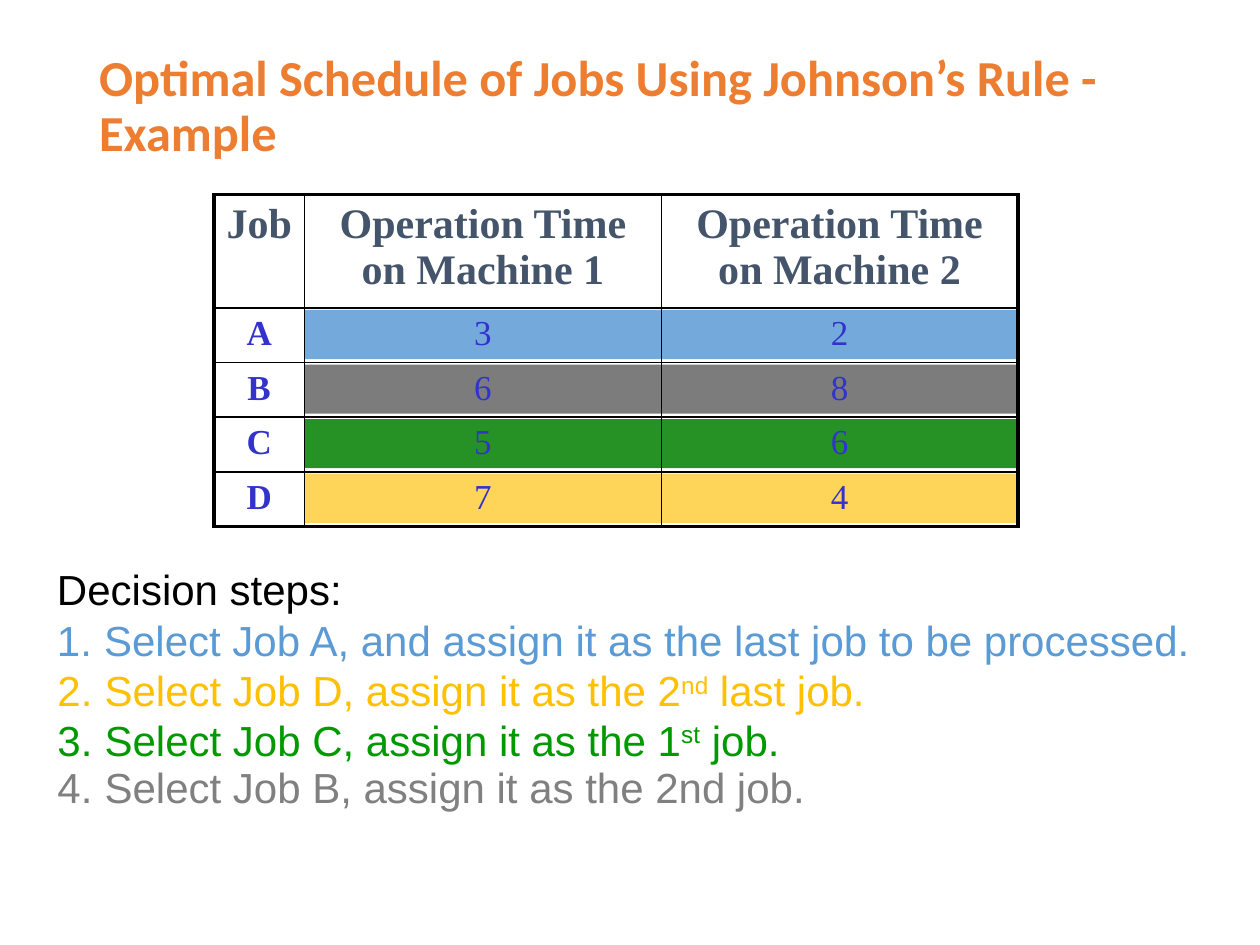
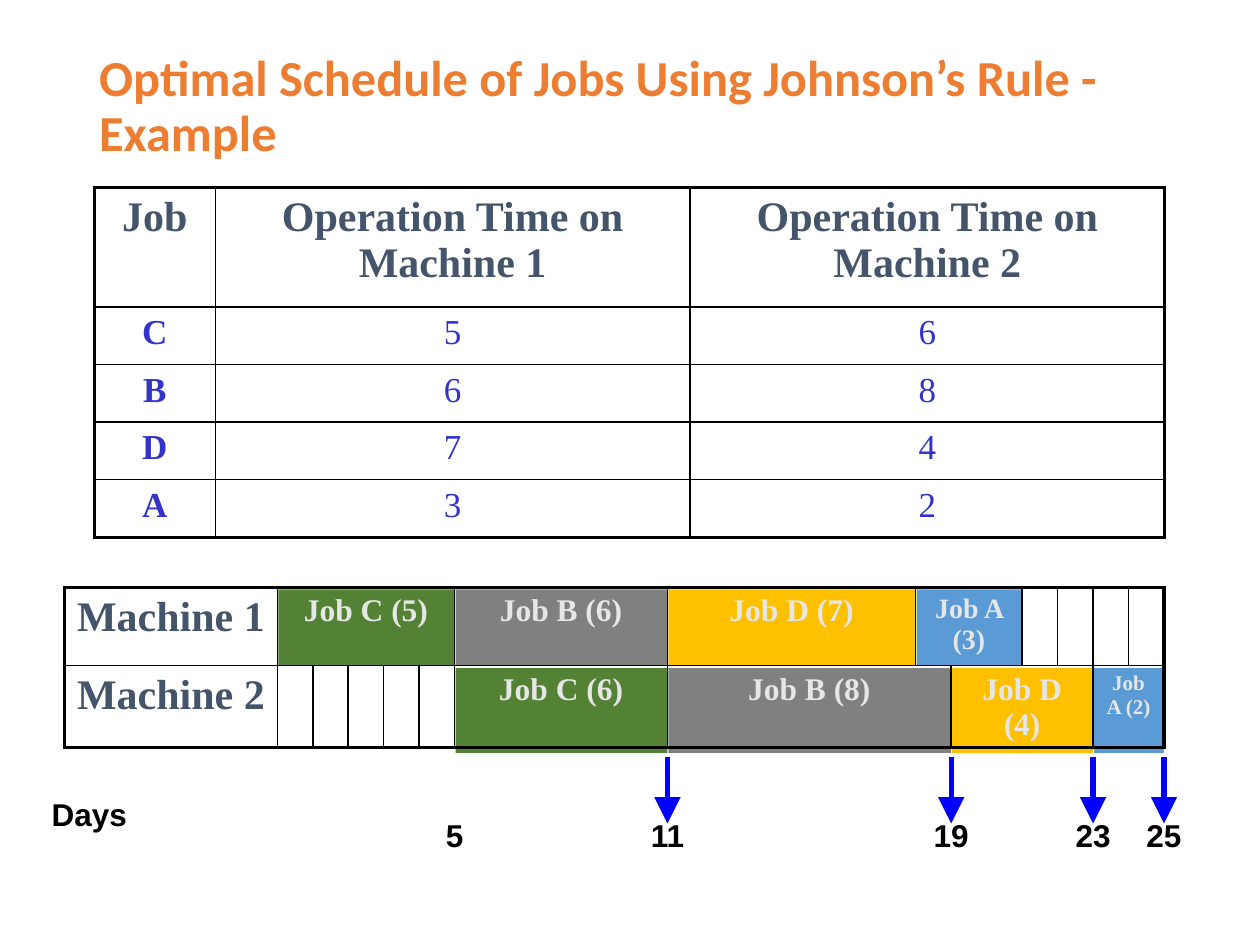
from dataclasses import dataclass

from lxml import etree
from pptx import Presentation
from pptx import util as u
from pptx.dml.color import RGBColor
from pptx.enum import shapes, text
from pptx.oxml.ns import qn

Cm, Pt = u.Cm, u.Pt


@dataclass(frozen=True)
class Theme:
    orange: str = "ED7D31"
    blue: str = "5B9BD5"
    gold: str = "FFC000"
    green: str = "008000"
    step_green: str = "009900"
    bar_green: str = "548235"
    dark_gray: str = "666666"
    gray: str = "808080"
    slate: str = "44546A"
    indigo: str = "3333CC"
    pale: str = "E7E6E6"
    arrow: str = "0000FF"
    black: str = "000000"
    heading: str = "Calibri"
    body: str = "Arial"
    cells: str = "Times New Roman"
    title: float = 28.8
    large: float = 24
    value: float = 20
    label: float = 18
    small: float = 16
    tiny: float = 12
    outer: float = 2.25
    inner: float = 1


TITLE = "Optimal Schedule of Jobs Using Johnson’s Rule - Example"
HEADER = ["Job", "Operation Time on Machine 1", "Operation Time on Machine 2"]
TIMES = {"A": (3, 2), "B": (6, 8), "C": (5, 6), "D": (7, 4)}
SEQUENCE = "CBDA"

DAY_ZERO, DAY_WIDTH = 5.59, 0.715
DAY_EDGES = [0, 1, 2, 3, 4, 5, 11, 18, 19, 21, 22, 23, 24, 25]


def day_x(day):
    return DAY_ZERO + day * DAY_WIDTH


def schedule(sequence):
    first, second, free1, free2 = [], [], 0, 0
    for job in sequence:
        time1, time2 = TIMES[job]
        first.append((job, free1, time1))
        free1 += time1
        free2 = max(free1, free2)
        second.append((job, free2, time2))
        free2 += time2
    return first, second


class Deck:
    def __init__(self, theme):
        self.theme = theme
        self.prs = Presentation()
        self.prs.slide_width, self.prs.slide_height = Cm(25.4), Cm(19.05)
        self.slide = None

    def new_slide(self):
        self.slide = self.prs.slides.add_slide(self.prs.slide_layouts[6])
        frame = self.textbox(1.75, 1.02, 21.9, 2.31)
        frame.vertical_anchor = text.MSO_ANCHOR.MIDDLE
        heading = frame.paragraphs[0]
        heading.text, heading.line_spacing = TITLE, 0.9
        self.style(heading, self.theme.title, self.theme.orange, self.theme.heading, True)

    def style(self, paragraph, size, color, font, bold=False):
        for run in paragraph.runs:
            run.font.size, run.font.name, run.font.bold = Pt(size), font, bold
            run.font.color.rgb = RGBColor.from_string(color)

    def textbox(self, x, y, w, h):
        frame = self.slide.shapes.add_textbox(Cm(x), Cm(y), Cm(w), Cm(h)).text_frame
        frame.word_wrap = True
        return frame

    def label(self, words, x, y, w, align):
        paragraph = self.textbox(x, y, w, 1.02).paragraphs[0]
        paragraph.text, paragraph.alignment = words, align
        self.style(paragraph, self.theme.label, self.theme.black, self.theme.body, True)

    def step(self, paragraph, parts, color, number=None):
        paragraph.text, paragraph.space_before = parts[0], Pt(0.5)
        for part in parts[1:]:
            paragraph.add_run().text = part
        self.style(paragraph, self.theme.large, color, self.theme.body)
        if len(parts) > 1:
            paragraph.runs[1].font._element.set("baseline", "30000")
        if number:
            props = paragraph._p.get_or_add_pPr()
            props.set("marL", str(Cm(0.95)))
            props.set("indent", str(-Cm(0.95)))
            etree.SubElement(props, qn("a:buAutoNum"), type="arabicPeriod", startAt=str(number))

    def band(self, x, y, w, h, color, opacity=100):
        band = self.slide.shapes.add_shape(
            shapes.MSO_SHAPE.RECTANGLE, Cm(x), Cm(y), Cm(w), Cm(h))
        band.shadow.inherit = False
        band.line.fill.background()
        band.fill.solid()
        band.fill.fore_color.rgb = RGBColor.from_string(color)
        if opacity < 100:
            tone = band.fill._xPr.find(".//" + qn("a:srgbClr"))
            etree.SubElement(tone, qn("a:alpha"), val=str(opacity * 1000))

    def arrow(self, x, top, bottom):
        line = self.slide.shapes.add_connector(
            shapes.MSO_CONNECTOR.STRAIGHT, Cm(x), Cm(top), Cm(x), Cm(bottom))
        line.line.width = Pt(3)
        line.line.color.rgb = RGBColor.from_string(self.theme.arrow)
        etree.SubElement(line.line._get_or_add_ln(), qn("a:tailEnd"),
                         type="triangle", w="lg", len="lg")
        etree.SubElement(line._element.spPr, qn("a:effectLst"))

    def grid(self, x, y, widths, heights):
        frame = self.slide.shapes.add_table(
            len(heights), len(widths), Cm(x), Cm(y), Cm(sum(widths)), Cm(sum(heights)))
        table = frame.table
        table.first_row = table.horz_banding = False
        table._tbl.tblPr.find(qn("a:tableStyleId")).text = "{2D5ABB26-0587-4C30-8999-92F81FD0307C}"
        for column, width in zip(table.columns, widths):
            column.width = Cm(width)
        for row, height in zip(table.rows, heights):
            row.height = Cm(height)
        return table

    def rule_cells(self, table):
        last_row, last_column = len(table.rows) - 1, len(table.columns) - 1
        for r in range(last_row + 1):
            for c in range(last_column + 1):
                cell = table.cell(r, c)
                right = c + (cell.span_width if cell.is_merge_origin else 1) - 1
                props = cell._tc.get_or_add_tcPr()
                sides = {"L": c == 0, "R": right == last_column, "T": r == 0, "B": r == last_row}
                for side, outside in sides.items():
                    width = self.theme.outer if outside else self.theme.inner
                    line = etree.SubElement(props, qn("a:ln" + side), w=str(Pt(width)))
                    fill = etree.SubElement(line, qn("a:solidFill"))
                    etree.SubElement(fill, qn("a:srgbClr"), val=self.theme.black)
                cell.fill.background()

    def write_cell(self, cell, words, size, color, bold=True, align=text.PP_ALIGN.CENTER):
        paragraph = cell.text_frame.paragraphs[0]
        paragraph.text, paragraph.alignment = words, align
        self.style(paragraph, size, color, self.theme.cells, bold)

    def times_table(self, jobs, x, y, widths, header_height, row_height):
        table = self.grid(x, y, widths, [header_height] + [row_height] * len(jobs))
        for c, words in enumerate(HEADER):
            self.write_cell(table.cell(0, c), words, self.theme.large, self.theme.slate)
        for r, job in enumerate(jobs, 1):
            for c, entry in enumerate((job, *TIMES[job])):
                self.write_cell(table.cell(r, c), str(entry), self.theme.value,
                                self.theme.indigo, bold=c == 0)
        self.rule_cells(table)

    def gantt(self, machines, sizes):
        theme = self.theme
        colors = {"A": theme.blue, "B": theme.gray, "C": theme.bar_green, "D": theme.gold}
        for bars, (top, height) in zip(machines, [(11.88, 1.54), (13.47, 1.71)]):
            for job, start, days in bars:
                self.band(day_x(start) + 0.02, top, days * DAY_WIDTH - 0.02, height, colors[job])
        widths = [(end - start) * DAY_WIDTH for start, end in zip(DAY_EDGES, DAY_EDGES[1:])]
        table = self.grid(1.3, 11.84, [4.29] + widths, [1.58, 1.65])
        for r, bars in enumerate(machines):
            machine = table.cell(r, 0)
            machine.margin_right = 0
            self.write_cell(machine, f"Machine {r + 1}", theme.large, theme.slate,
                            align=text.PP_ALIGN.LEFT)
            for job, start, days in bars:
                first = DAY_EDGES.index(start) + 1
                last = DAY_EDGES.index(start + days)
                cell = table.cell(r, first)
                cell.margin_bottom = 0
                if last > first:
                    cell.merge(table.cell(r, last))
                self.write_cell(cell, f"Job {job} ({days})",
                                sizes.get((r, job), theme.label), theme.pale)
        self.rule_cells(table)


def build_decision_steps(deck):
    theme = deck.theme
    deck.new_slide()
    job_bands = [(theme.blue, 85), (theme.dark_gray, 85), (theme.green, 85), (theme.gold, 65)]
    for i, (color, opacity) in enumerate(job_bands):
        deck.band(6.15, 6.25 + 1.1 * i, 14.33, 0.99, color, opacity)
    deck.times_table("ABCD", 4.31, 3.92, [1.83, 7.19, 7.19], 2.28, 1.1)

    opening = deck.textbox(0.9, 11.23, 23.7, 2.31)
    deck.step(opening.paragraphs[0], ["Decision steps:"], theme.black)
    deck.step(opening.add_paragraph(),
              ["Select Job A, and assign it as the last job to be processed."], theme.blue, 1)
    later_steps = [
        (13.28, ["Select Job D, assign it as the 2", "nd", " last job."], theme.gold),
        (14.27, ["Select Job C, assign it as the 1", "st", " job."], theme.step_green),
        (15.23, ["Select Job B, assign it as the 2nd job."], theme.gray),
    ]
    for number, (top, parts, color) in enumerate(later_steps, 2):
        deck.step(deck.textbox(0.91, top, 17, 1.27).paragraphs[0], parts, color, number)


def build_schedule(deck):
    theme = deck.theme
    deck.new_slide()
    machines = schedule(SEQUENCE)
    deck.gantt(machines, {(0, "A"): theme.small, (1, "A"): theme.tiny})
    deck.times_table(SEQUENCE, 1.9, 3.78, [2.44, 9.57, 9.57], 2.41, 1.16)

    finishes = [start + days for _, start, days in machines[1]]
    for day in finishes:
        deck.arrow(day_x(day), 15.27, 16.6)
    for day in [machines[1][0][1], *finishes]:
        deck.label(str(day), day_x(day) - 0.75, 16.33, 1.5, text.PP_ALIGN.CENTER)
    deck.label("Days", 0.79, 15.9, 2.5, text.PP_ALIGN.LEFT)


def main():
    deck = Deck(Theme())
    build_decision_steps(deck)
    build_schedule(deck)
    deck.prs.save("out.pptx")


if __name__ == "__main__":
    main()
